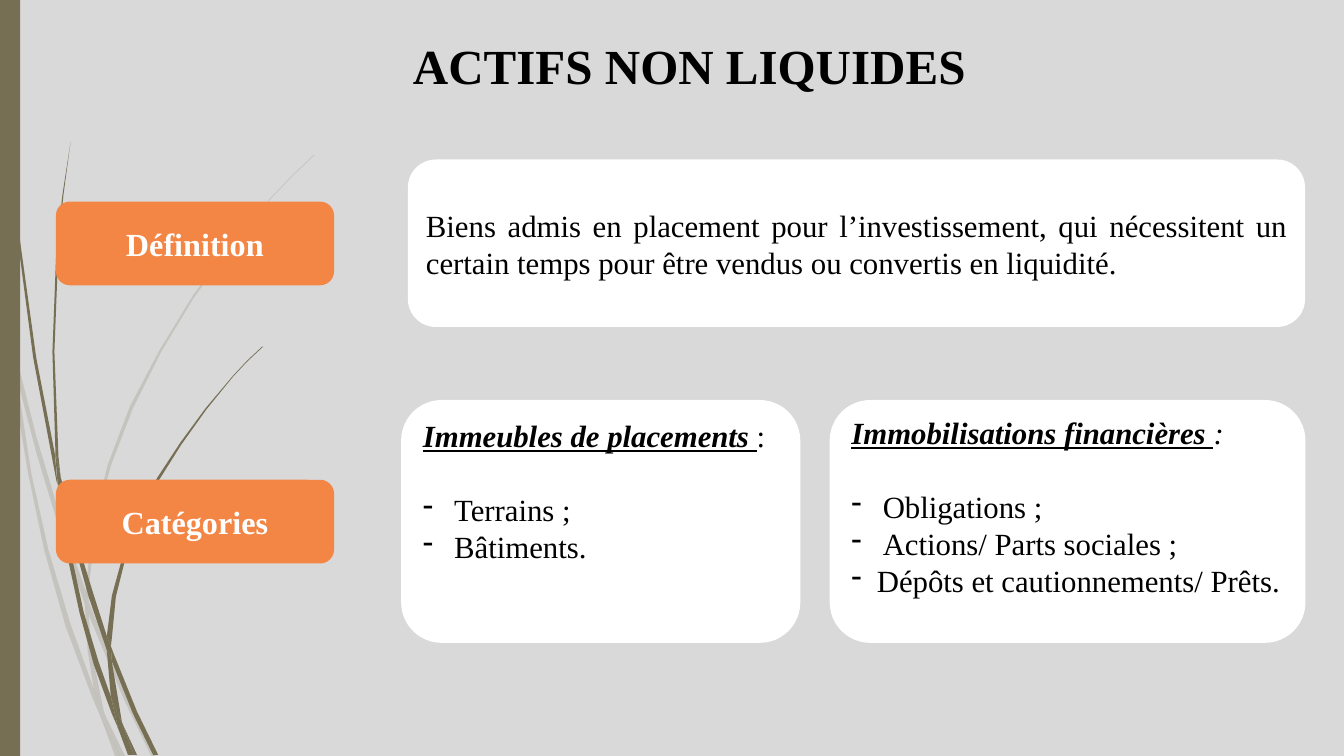
from dataclasses import dataclass

from lxml.etree import SubElement
from pptx import Presentation
from pptx.dml.color import RGBColor as Rgb
from pptx.enum.shapes import MSO_SHAPE as Shape
from pptx.enum.text import MSO_ANCHOR as Anchor, PP_ALIGN as Align
from pptx.oxml.ns import qn
from pptx.util import Cm, Pt


@dataclass(frozen=True)
class Theme:
    font: str = "Times New Roman"
    back: str = "D9D9D9"
    olive: str = "766F54"
    orange: str = "F38645"
    white: str = "FFFFFF"
    black: str = "000000"
    title: int = 35
    label: int = 23
    body: int = 22
    gap: float = 26.5
    faint: int = 20


THEME = Theme()
WIDTH, HEIGHT = 33.87, 19.05
UNIT = Cm(2.54) / 100

PALE = [
    [(11, 350), (9, 322), (0, 282), (0, 299), (10, 344)],
    [(58, 522), (84, 599), (85, 586), (62, 520), (36, 433), (14, 345),
     (17, 376), (36, 449)],
    [(92, 607), (88, 596), (88, 610), (123, 694), (150, 750), (155, 750),
     (127, 692)],
    [(119, 750), (124, 750), (105, 711)],
    [(93, 683), (70, 619), (48, 545), (31, 469), (24, 423), (17, 376),
     (11, 350), (18, 410), (28, 470), (44, 546), (65, 621), (92, 693),
     (101, 714), (99, 707)],
    [(84, 599), (87, 646), (93, 683), (96, 692), (105, 711), (103, 706),
     (91, 646), (88, 610), (88, 608)],
    [(88, 584), (95, 522), (110, 462), (132, 405), (160, 349), (192, 296),
     (229, 245), (268, 198), (290, 175), (312, 154), (312, 153), (289, 175),
     (268, 197), (228, 244), (191, 294), (158, 348), (129, 403), (107, 461),
     (92, 522), (85, 584), (85, 586), (88, 596)],
    [(101, 714), (114, 750), (119, 750)],
    [(88, 608), (88, 610), (88, 596), (85, 586), (84, 599)],
    [(96, 692), (93, 683), (99, 707), (101, 714), (119, 750), (105, 711)],
]
DARK = [
    [(7, 110), (17, 233), (33, 355), (56, 477), (57, 481), (55, 457),
     (55, 453), (36, 355), (19, 232), (8, 109), (5, 48), (4, 0), (3, 0),
     (4, 48)],
    [(88, 592), (106, 645), (106, 633), (106, 631), (93, 590), (75, 532),
     (60, 472), (64, 505)],
    [(113, 649), (110, 641), (111, 656), (132, 708), (152, 749), (157, 749),
     (136, 706)],
    [(110, 691), (98, 657), (83, 607), (72, 556), (64, 505), (57, 477),
     (68, 557), (79, 608), (93, 659), (111, 708), (117, 722), (116, 717)],
    [(60, 472), (58, 453), (54, 349), (58, 245), (63, 193), (70, 141),
     (62, 193), (56, 245), (52, 349), (55, 449)],
    [(133, 749), (136, 749), (122, 719)],
    [(57, 477), (64, 505), (60, 472), (55, 449), (55, 453)],
    [(111, 633), (115, 592), (125, 552), (140, 513), (158, 476), (180, 441),
     (205, 406), (231, 374), (245, 359), (261, 344), (260, 344), (245, 358),
     (231, 373), (204, 405), (179, 439), (156, 474), (137, 512), (122, 551),
     (111, 591), (106, 631), (110, 641)],
    [(117, 722), (127, 749), (131, 749)],
    [(106, 645), (110, 691), (116, 706), (122, 719), (121, 716), (111, 656),
     (109, 651)],
    [(106, 645), (109, 651), (111, 656), (110, 641), (106, 631), (106, 633)],
    [(116, 706), (110, 691), (116, 717), (117, 722), (130, 749), (133, 749),
     (122, 719)],
]


def paint(shape, color, alpha=100):
    shape.shadow.inherit = False
    shape.fill.solid()
    shape.fill.fore_color.rgb = Rgb.from_string(color)
    shape.line.fill.background()
    if alpha < 100:
        tint = shape._element.spPr.find(qn("a:solidFill"))[0]
        SubElement(tint, qn("a:alpha")).set("val", str(alpha * 1000))


def style(run, size, color, bold=False, italic=False, under=False):
    font = run.font
    font.name, font.size = THEME.font, Pt(size)
    font.color.rgb = Rgb.from_string(color)
    font.bold, font.italic, font.underline = bold, italic, under


def blade(slide, rim, alpha):
    pen = slide.shapes.build_freeform(*rim[0], scale=UNIT)
    pen.add_line_segments(rim[1:], close=True)
    paint(pen.convert_to_shape(), THEME.olive, alpha)


def block(slide, kind, box, color):
    shape = slide.shapes.add_shape(kind, *map(Cm, box))
    paint(shape, color)
    return shape


def write(shape, text, size, color, align, bold=False, anchor=Anchor.MIDDLE):
    frame = shape.text_frame
    frame.word_wrap = True
    frame.vertical_anchor = anchor
    frame.text = text
    para = frame.paragraphs[0]
    para.alignment = align
    style(para.runs[0], size, color, bold)
    return para


def title(slide, text):
    box = slide.shapes.add_textbox(Cm(.89), Cm(.99), Cm(32.98), Cm(1.5))
    write(box, text, THEME.title, THEME.black, Align.CENTER, True, Anchor.BOTTOM)


def label(slide, top, text):
    shape = block(slide, Shape.ROUNDED_RECTANGLE, (1.41, top, 7.01, 2.11),
                  THEME.orange)
    write(shape, text, THEME.label, THEME.white, Align.CENTER, True)


def card(slide, box):
    return block(slide, Shape.ROUNDED_RECTANGLE, box, THEME.white)


def dash(para, indent):
    props = para._p.get_or_add_pPr()
    props.set("marL", str(Cm(indent)))
    props.set("indent", str(-Cm(indent)))
    SubElement(props, qn("a:buChar")).set("char", "-")


def group(slide, box, inset, head, slant, items):
    shape = card(slide, box)
    para = write(shape, head + " ", THEME.body, THEME.black, Align.LEFT,
                 anchor=Anchor.TOP)
    frame = shape.text_frame
    frame.margin_top = Cm(inset)
    style(para.runs[0], THEME.body, THEME.black, True, True, True)
    colon = para.add_run()
    colon.text = ":"
    style(colon, THEME.body, THEME.black, italic=slant)
    para.space_after = Pt(THEME.gap)
    for text, indent in items:
        para = frame.add_paragraph()
        para.text = text
        para.alignment = Align.LEFT
        style(para.runs[0], THEME.body, THEME.black)
        dash(para, indent)


def main():
    deck = Presentation()
    deck.slide_width, deck.slide_height = Cm(WIDTH), Cm(HEIGHT)
    slide = deck.slides.add_slide(deck.slide_layouts[6])
    slide.background.fill.solid()
    slide.background.fill.fore_color.rgb = Rgb.from_string(THEME.back)

    for alpha, rims in ((THEME.faint, PALE), (100, DARK)):
        for rim in rims:
            blade(slide, rim, alpha)
    block(slide, Shape.RECTANGLE, (0, 0, .51, HEIGHT), THEME.olive)

    title(slide, "ACTIFS NON LIQUIDES")
    label(slide, 5.08, "Définition")
    para = write(card(slide, (10.28, 4.02, 22.61, 4.22)),
                 "Biens admis en placement pour l’investissement, qui nécessitent "
                 "un certain temps pour être vendus ou convertis en liquidité.",
                 THEME.body, THEME.black, Align.JUSTIFY)
    label(slide, 12.09, "Catégories")
    group(slide, (10.11, 10.08, 10.06, 6.12), .13, "Immeubles de placements",
          False, [("Terrains ;", .79), ("Bâtiments.", .79)])
    group(slide, (20.91, 10.08, 11.99, 6.12), .05, "Immobilisations financières",
          True, [("Obligations ;", .79), ("Actions/ Parts sociales ;", .79),
                 ("Dépôts et cautionnements/ Prêts.", .64)])
    deck.save("out.pptx")


if __name__ == "__main__":
    main()
